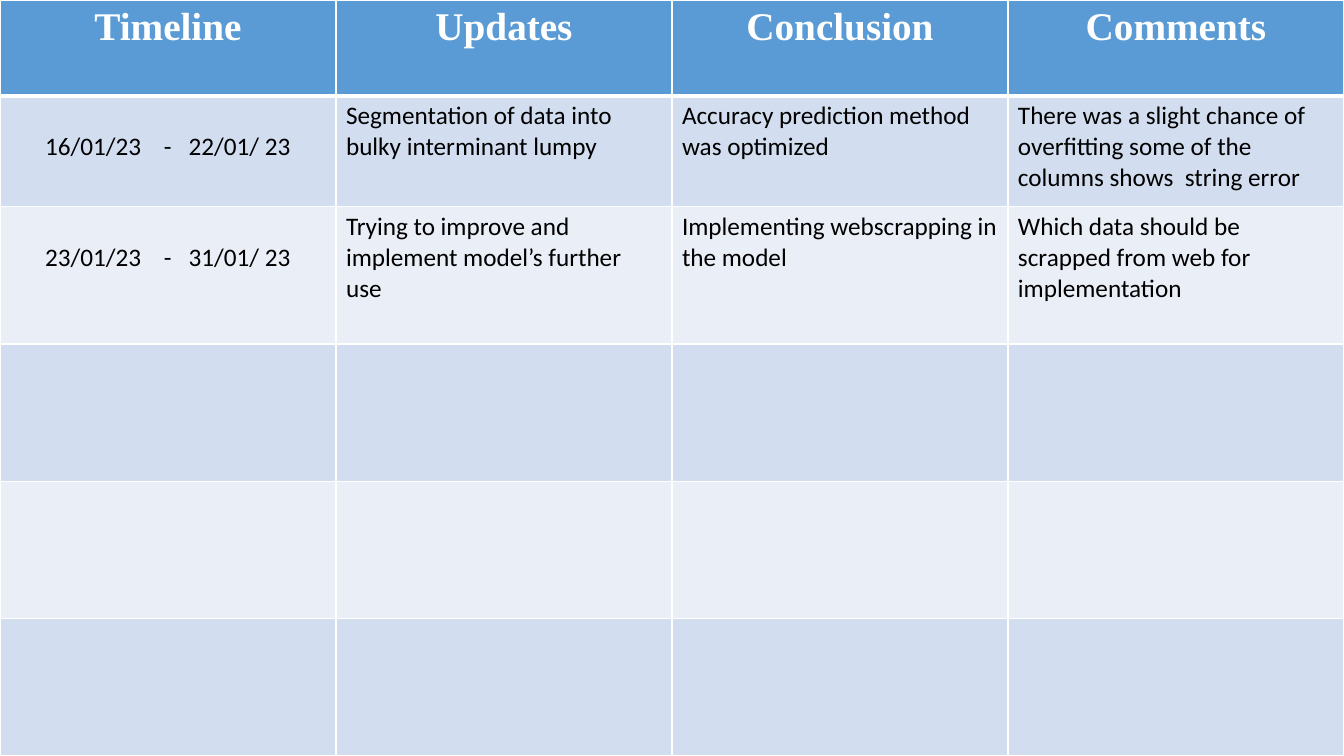
import lxml.etree
import pptx
import pptx.dml.color
import pptx.enum.text
import pptx.oxml.ns
import pptx.util

Pt = pptx.util.Pt
ALIGN = pptx.enum.text.PP_ALIGN


def paint(fill, colour):
    fill.solid()
    fill.fore_color.rgb = pptx.dml.color.RGBColor.from_string(colour)


def write(cell, text, font="Calibri", size=18, colour="000000", bold=False, align=ALIGN.LEFT):
    para = cell.text_frame.paragraphs[0]
    para.alignment = align
    span = para.add_run()
    span.text = text
    span.font.name = font
    span.font.size = Pt(size)
    span.font.bold = bold
    paint(span.font.fill, colour)


headings = ["Timeline", "Updates", "Conclusion", "Comments"]
entries = [
    ["16/01/23    -   22/01/ 23",
     "Segmentation of data into bulky interminant lumpy",
     "Accuracy prediction method was optimized",
     "There was a slight chance of overfitting some of the columns shows  string error"],
    ["23/01/23    -   31/01/ 23",
     "Trying to improve and implement model’s further  use",
     "Implementing webscrapping in the model",
     "Which data should be scrapped from web for implementation"],
]
row_heights = [68.4, 79.2] + [98.1] * 4
row_fills = ["5B9BD5"] + ["D2DEEF", "EAEFF7"] * 2 + ["D2DEEF"]

# Page
deck = pptx.Presentation()
deck.slide_width, deck.slide_height = Pt(960), Pt(540)
page = deck.slides.add_slide(deck.slide_layouts[6])

# Table filling the page
table = page.shapes.add_table(
    len(row_heights), len(headings), 0, 0, deck.slide_width, deck.slide_height).table
for row, height in zip(table.rows, row_heights):
    row.height = Pt(height)

# Borders and fills: a thick rule lies between the heading and the body
for r, row in enumerate(table.rows):
    for cell in row.cells:
        properties = cell._tc.get_or_add_tcPr()
        widths = {"lnL": 1, "lnR": 1, "lnT": 3 if r == 1 else 1, "lnB": 3 if r == 0 else 1}
        for side, width in widths.items():
            line = lxml.etree.SubElement(
                properties, pptx.oxml.ns.qn("a:" + side), w=str(Pt(width)))
            solid = lxml.etree.SubElement(line, pptx.oxml.ns.qn("a:solidFill"))
            lxml.etree.SubElement(solid, pptx.oxml.ns.qn("a:srgbClr"), val="FFFFFF")
        paint(cell.fill, row_fills[r])

# Headings
for c, heading in enumerate(headings):
    write(table.cell(0, c), heading, font="Times New Roman", size=28,
          colour="FFFFFF", bold=True, align=ALIGN.CENTER)

# Entries: dates are centred and start one line lower
for r, entry in enumerate(entries, start=1):
    for c, text in enumerate(entry):
        write(table.cell(r, c), text, align=ALIGN.LEFT if c else ALIGN.CENTER)
    table.cell(r, 0).margin_top = Pt(25.6)

deck.save("out.pptx")
